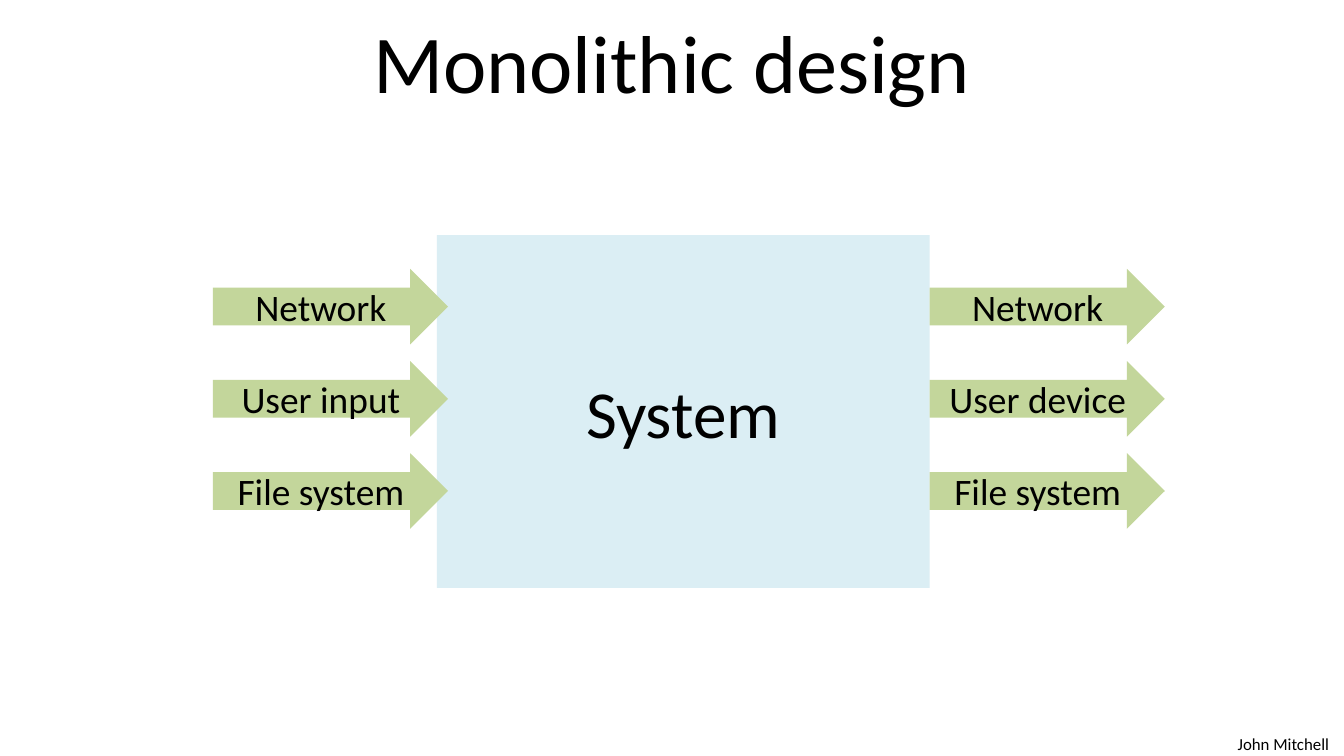
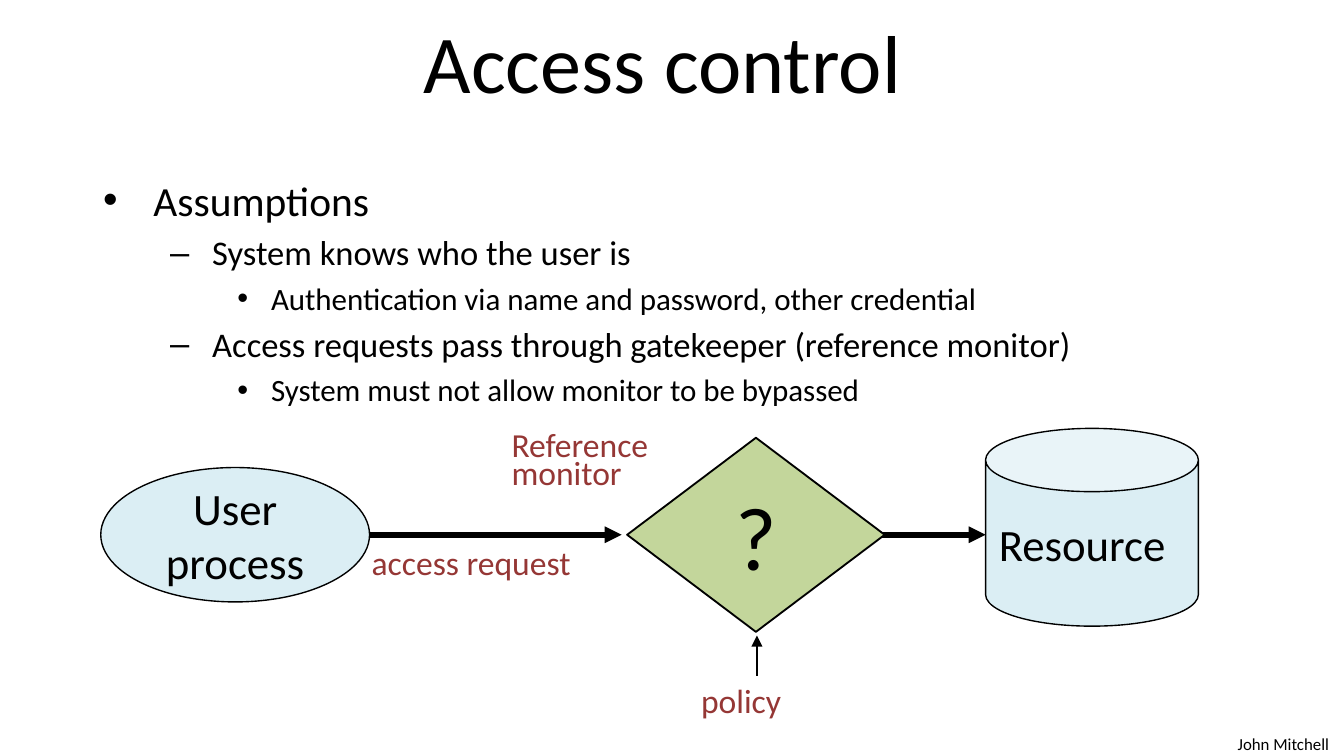
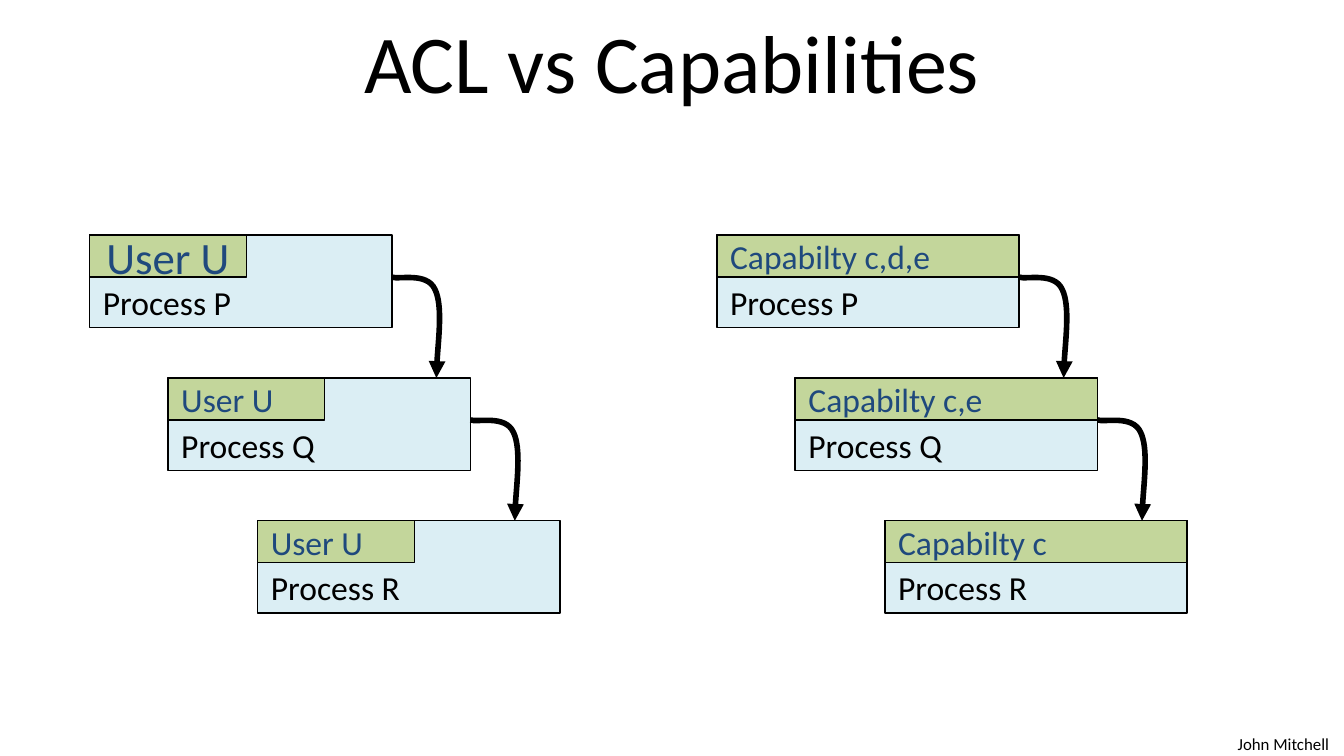
from lxml import etree
from pptx import Presentation
from pptx.dml.color import RGBColor
from pptx.enum.shapes import MSO_CONNECTOR as Connector, MSO_SHAPE as Preset
from pptx.enum.text import MSO_ANCHOR as Anchor, MSO_AUTO_SIZE as Fit, PP_ALIGN as Align
from pptx.oxml.ns import qn
from pptx.util import Pt

COLORS = {
    "ink": "000000",
    "pale_blue": "DBEEF4",
    "green": "C3D69B",
    "red": "953735",
    "navy": "1F497D",
}
FONT = "Calibri"
ARROW_SIZE = (126, 40.5)
PROCESS_SIZE = (162, 49.5)
TAG_HEIGHT = 22.5
# Two Bezier segments of a call arrow, relative to its start
CALL_CURVE = [(3.6, 1.4), (18.7, -2.9), (23, 6.5), (27.3, 15.1), (23.7, 43.9), (23.8, 54)]


def rgb(name):
    return RGBColor.from_string(COLORS[name])


def place(shape, left, top, width, height):
    shape.left, shape.top = Pt(left), Pt(top)
    shape.width, shape.height = Pt(width), Pt(height)


# Text

def write(frame, text, size=18, color="ink", align=Align.LEFT, anchor=Anchor.TOP,
          wrap=True, fit=Fit.NONE, spacing=None, before=None, levels=None):
    """Fill a text frame, one paragraph for each line of text."""
    frame.word_wrap, frame.auto_size, frame.vertical_anchor = wrap, fit, anchor
    for index, line in enumerate(text.split("\n")):
        para = frame.add_paragraph() if index else frame.paragraphs[0]
        level = levels[index] if levels else 0
        para.level = level
        para.alignment = align
        if spacing is not None:
            para.line_spacing = spacing
        if before is not None:
            para.space_before = Pt(before)
        span = para.add_run()
        span.text = line
        span.font.name = FONT
        span.font.size = Pt(size[level] if levels else size)
        span.font.color.rgb = rgb(color)


def add_label(page, text, left, top, width, height, **style):
    box = page.shapes.add_textbox(Pt(left), Pt(top), Pt(width), Pt(height))
    write(box.text_frame, text, fit=Fit.SHAPE_TO_FIT_TEXT, **style)


def add_page(deck, layout, title):
    page = deck.slides.add_slide(deck.slide_layouts.get_by_name(layout))
    place(page.shapes.title, 36, -1.5, 648, 67.5)
    write(page.shapes.title.text_frame, title, size=44, align=Align.CENTER,
          anchor=Anchor.MIDDLE)
    add_label(page, "John Mitchell", 656, 389.5, 64, 18, size=9, wrap=False)
    return page


# Shapes and lines

def add_box(page, preset, text, left, top, width, height, fill, line=None,
            align=Align.CENTER, anchor=Anchor.MIDDLE, **style):
    box = page.shapes.add_shape(preset, Pt(left), Pt(top), Pt(width), Pt(height))
    box.shadow.inherit = False
    box.fill.solid()
    box.fill.fore_color.rgb = rgb(fill)
    if line:
        box.line.color.rgb = rgb("ink")
        box.line.width = Pt(line)
    else:
        box.line.fill.background()
    write(box.text_frame, text, align=align, anchor=anchor, **style)
    return box


def style_arrow(arrow, weight):
    arrow.line.color.rgb = rgb("ink")
    arrow.line.width = Pt(weight)
    outline = arrow.element.find(".//" + qn("a:ln"))
    etree.SubElement(outline, qn("a:tailEnd"), type="triangle")


def add_arrow(page, start, end, weight):
    arrow = page.shapes.add_connector(Connector.STRAIGHT, *map(Pt, start + end))
    style_arrow(arrow, weight)
    etree.SubElement(arrow.element.spPr, qn("a:effectLst"))


def add_call_arrow(page, left, top):
    builder = page.shapes.build_freeform(Pt(left), Pt(top))
    builder.add_line_segments([(Pt(left + x), Pt(top + y)) for x, y in CALL_CURVE],
                              close=False)
    arrow = builder.convert_to_shape()
    arrow.shadow.inherit = False
    arrow.fill.background()
    style_arrow(arrow, 3)
    # Turn each three line segments into one Bezier segment
    segments = arrow.element.findall(".//" + qn("a:lnTo"))
    outline = segments[0].getparent()
    for first in range(0, len(segments), 3):
        curve = etree.SubElement(outline, qn("a:cubicBezTo"))
        for segment in segments[first:first + 3]:
            curve.append(segment[0])
            outline.remove(segment)


def add_process(page, name, tag, left, top, tag_width, tag_size=18, tag_align=Align.LEFT):
    width, height = PROCESS_SIZE
    process = add_box(page, Preset.RECTANGLE, name, left, top, width, height, "pale_blue",
                      line=0.75, align=Align.LEFT, anchor=Anchor.BOTTOM)
    process.text_frame.margin_bottom = Pt(3)
    add_box(page, Preset.RECTANGLE, tag, left, top, tag_width, TAG_HEIGHT, "green",
            line=0.75, size=tag_size, color="navy", align=tag_align, wrap=False)


# Slides

def build_monolithic(deck):
    page = add_page(deck, "Title Only", "Monolithic design")
    add_box(page, Preset.RECTANGLE, "System", 234, 126, 264, 189, "pale_blue", size=36)
    flows = {114: ["Network", "User input", "File system"],
             498: ["Network", "User device", "File system"]}
    for left, names in flows.items():
        for row, name in enumerate(names):
            add_box(page, Preset.RIGHT_ARROW, name, left, 144 + 49.4 * row, *ARROW_SIZE,
                    "green", size=20)


def build_access_control(deck):
    page = add_page(deck, "Title and Content", "Access control ")
    body = page.placeholders[1]
    place(body, 48, 90, 618, 121.5)
    write(body.text_frame,
          "Assumptions\n"
          "System knows who the user is\n"
          "Authentication via name and password, other credential\n"
          "Access requests pass through gatekeeper (reference monitor)\n"
          "System must not allow monitor to be bypassed",
          size=[22.2, 18.5, 16.6], levels=[0, 1, 2, 1, 2])

    # Request path
    resource = add_box(page, Preset.CAN, "Resource", 528, 229.5, 114, 106, "pale_blue",
                       line=0.75, size=24, align=Align.LEFT)
    resource.adjustments[0] = 0.32
    add_box(page, Preset.OVAL, "User process", 54, 250.5, 144, 72, "pale_blue",
            line=0.75, size=24, before=4.8)
    add_arrow(page, (198, 286.5), (333, 286.5), 3)
    add_arrow(page, (456, 286.5), (528, 286.5), 3)
    add_box(page, Preset.DIAMOND, "?", 336, 234.5, 138, 104, "green",
            line=1, size=48, wrap=False)
    add_arrow(page, (405.5, 362), (405.5, 340.5), 1.5)

    # Captions
    caption = {"color": "red", "spacing": 0.7}
    add_label(page, "Reference\nmonitor", 267, 229.5, 88.5, 38, wrap=False, **caption)
    add_label(page, "access request", 192, 292.5, 156, 22.5, **caption)
    add_label(page, "policy", 368.5, 366.5, 58.5, 22.5, wrap=False, **caption)


def build_capabilities(deck):
    page = add_page(deck, "Title Only", "ACL vs Capabilities")
    offsets = [0, 42, 90]
    chains = [(48, 84, ["User U"] * 3),
              (384, PROCESS_SIZE[0], ["Capabilty c,d,e", "Capabilty c,e", "Capabilty c"])]
    for chain_left, tag_width, tags in chains:
        for step, (offset, tag) in enumerate(zip(offsets, tags)):
            left, top = chain_left + offset, 126 + 76.5 * step
            first_user = tag == "User U" and step == 0
            emphasis = {"tag_size": 24, "tag_align": Align.CENTER} if first_user else {}
            add_process(page, f"Process {'PQR'[step]}", tag, left, top, tag_width, **emphasis)
            if step < len(tags) - 1:
                add_call_arrow(page, left + PROCESS_SIZE[0], top + TAG_HEIGHT)


def main():
    deck = Presentation()
    deck.slide_width, deck.slide_height = Pt(720), Pt(405)
    build_monolithic(deck)
    build_access_control(deck)
    build_capabilities(deck)
    deck.save("out.pptx")


if __name__ == "__main__":
    main()
